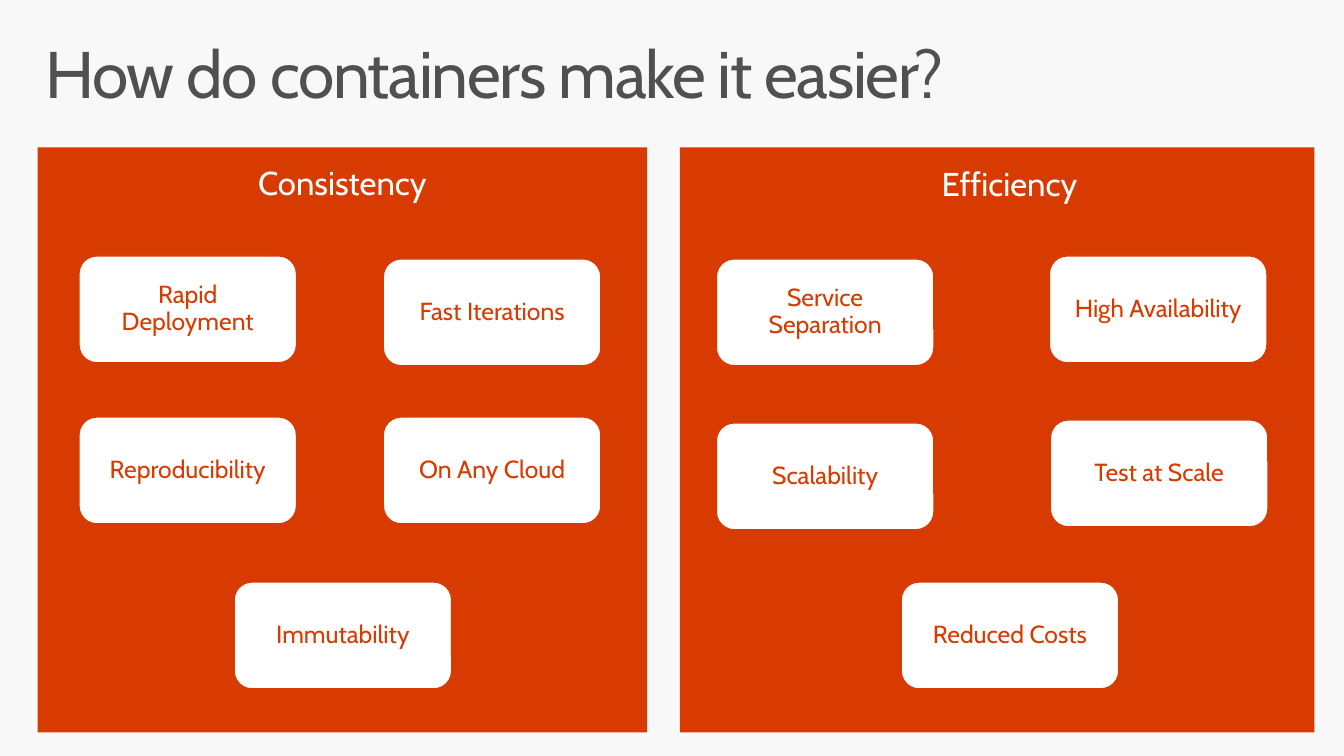
from pptx import Presentation
from pptx.dml.color import RGBColor
from pptx.enum.shapes import MSO_SHAPE
from pptx.enum.text import MSO_ANCHOR, PP_ALIGN
from pptx.util import Inches, Pt

ORANGE = RGBColor(0xD8, 0x3B, 0x01)
WHITE = RGBColor(0xFF, 0xFF, 0xFF)
GRAY = RGBColor(0x50, 0x50, 0x50)
BACKGROUND = RGBColor(0xF8, 0xF8, 0xF8)
CARD_WIDTH, CARD_HEIGHT = 2.2, 1.08


def write_text(shape, text, size, color, align=PP_ALIGN.CENTER,
               anchor=MSO_ANCHOR.MIDDLE, margins=(0.2, 0.16), spacing=None):
    frame = shape.text_frame
    frame.word_wrap = True
    frame.vertical_anchor = anchor
    frame.margin_left = frame.margin_right = Inches(margins[0])
    frame.margin_top = frame.margin_bottom = Inches(margins[1])
    frame.text = text
    for paragraph in frame.paragraphs:
        paragraph.alignment = align
        paragraph.line_spacing = 0.9
        for run in paragraph.runs:
            run.font.name = "Cabin"
            run.font.size = Pt(size)
            run.font.color.rgb = color
            if spacing is not None:
                run.font._element.set("spc", str(spacing))


def add_box(kind, left, top, width, height, fill):
    shape = slide.shapes.add_shape(
        kind, Inches(left), Inches(top), Inches(width), Inches(height))
    shape.shadow.inherit = False
    shape.fill.solid()
    shape.fill.fore_color.rgb = fill
    return shape


presentation = Presentation()
presentation.slide_width = Inches(13.6)
presentation.slide_height = Inches(7.65)
slide = presentation.slides.add_slide(presentation.slide_layouts[6])
slide.background.fill.solid()
slide.background.fill.fore_color.rgb = BACKGROUND

# Title
title = slide.shapes.add_textbox(Inches(0.3), Inches(0.32), Inches(13), Inches(1.04))
write_text(title, "How do containers make it easier?", 48, GRAY, align=PP_ALIGN.LEFT,
           anchor=MSO_ANCHOR.TOP, margins=(0.16, 0.1), spacing=-100)

# Panels: heading, left, width, heading left and top, cards (text, left, top)
panels = [
    ("Consistency", 0.38, 6.17, 1.3, 0.74, [
        ("Rapid\nDeployment", 0.8, 2.59),
        ("Fast Iterations", 3.88, 2.62),
        ("Reproducibility", 0.8, 4.22),
        ("On Any Cloud", 3.88, 4.22),
        ("Immutability", 2.37, 5.89),
    ]),
    ("Efficiency", 6.88, 6.42, 8.05, 0.75, [
        ("Service Separation", 7.25, 2.62),
        ("High Availability", 10.62, 2.59),
        ("Scalability", 7.25, 4.28),
        ("Test at Scale", 10.63, 4.25),
        ("Reduced Costs", 9.12, 5.89),
    ]),
]

for heading, left, width, heading_left, heading_top, cards in panels:
    panel = add_box(MSO_SHAPE.RECTANGLE, left, 1.49, width, 5.92, ORANGE)
    panel.line.fill.background()

    heading_box = slide.shapes.add_textbox(
        Inches(heading_left), Inches(heading_top), Inches(4.33), Inches(2.25))
    write_text(heading_box, heading, 24, WHITE)

    # Benefit cards
    for text, card_left, card_top in cards:
        card = add_box(MSO_SHAPE.ROUNDED_RECTANGLE, card_left, card_top,
                       CARD_WIDTH, CARD_HEIGHT, WHITE)
        card.line.color.rgb = ORANGE
        card.line.width = Pt(0.85)
        write_text(card, text, 18, ORANGE)

presentation.save("out.pptx")
